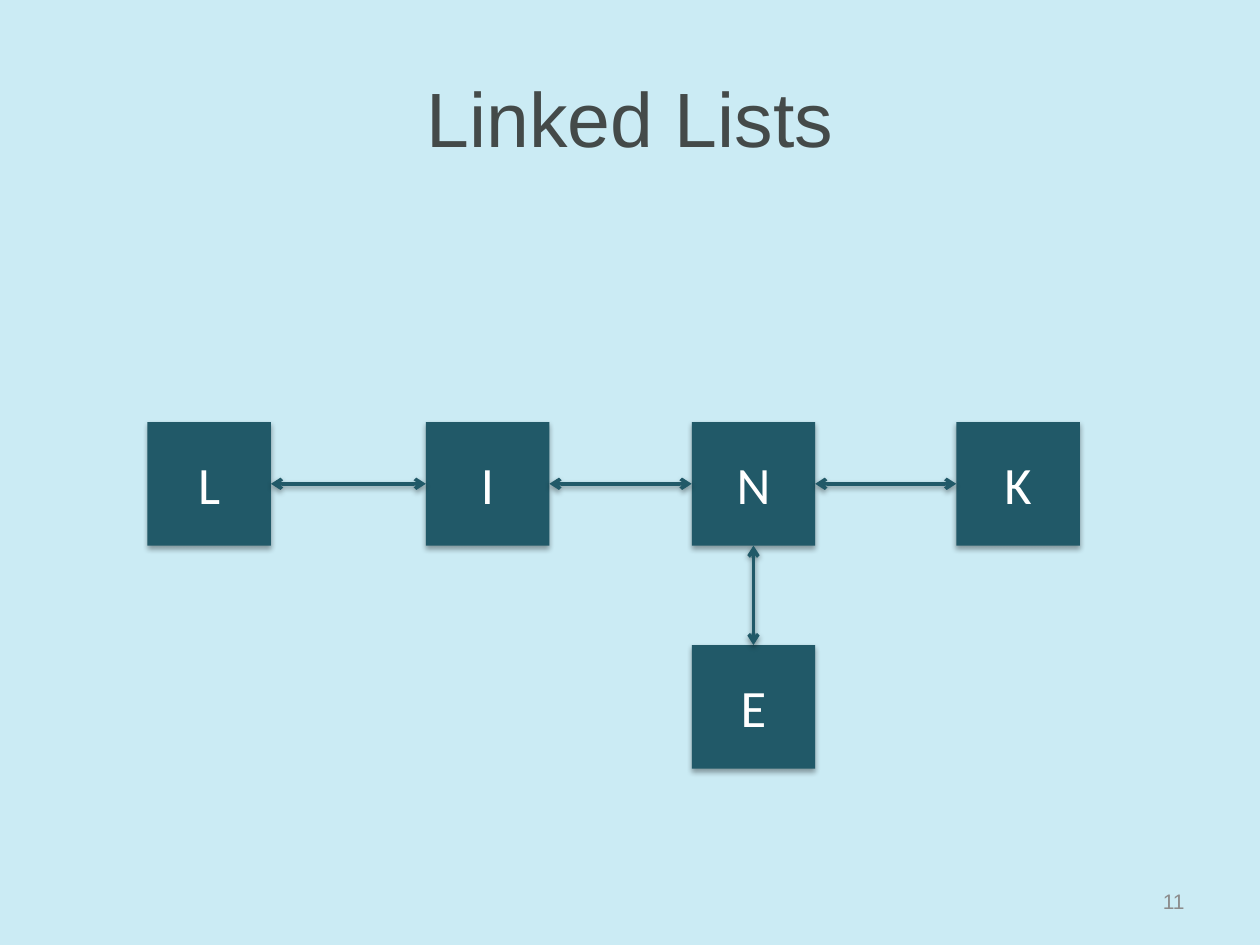
from lxml import etree
from pptx import Presentation
from pptx.dml.color import RGBColor
from pptx.enum.shapes import MSO_CONNECTOR, MSO_SHAPE
from pptx.enum.text import MSO_ANCHOR, PP_ALIGN
from pptx.oxml.ns import qn
from pptx.util import Inches, Pt

RECTANGLE = MSO_SHAPE.RECTANGLE
STRAIGHT = MSO_CONNECTOR.STRAIGHT
MIDDLE = MSO_ANCHOR.MIDDLE
CENTER, RIGHT = PP_ALIGN.CENTER, PP_ALIGN.RIGHT
TOP_SIDE, LEFT_SIDE, BOTTOM_SIDE, RIGHT_SIDE = range(4)
TITLE_ONLY = 5

NODE_SIZE = 0.98
ROW_TOP = 3.35
BRANCH_TOP = 5.12
ROW_LEFTS = {"L": 1.17, "I": 3.38, "N": 5.49, "K": 7.59}


def color(hex_string):
    return RGBColor.from_string(hex_string)


class SlideBuilder:
    """Holds the style and the current slide."""

    background = "CBEBF4"
    accent = "215968"
    heading_font = "Arial"
    node_font = "Calibri"

    def __init__(self, presentation):
        layout = presentation.slide_layouts[TITLE_ONLY]
        self.slide = presentation.slides.add_slide(layout)
        fill = self.slide.background.fill
        fill.solid()
        fill.fore_color.rgb = color(self.background)

    def set_text(self, shape, text, size, font_name, text_color, alignment):
        frame = shape.text_frame
        frame.word_wrap = True
        frame.vertical_anchor = MIDDLE
        paragraph = frame.paragraphs[0]
        paragraph.text = text
        paragraph.alignment = alignment
        paragraph.font.size = Pt(size)
        paragraph.font.name = font_name
        paragraph.font.color.rgb = color(text_color)

    def cast_shadow(self, shape, opacity, distance):
        """Add a soft downward shadow; opacity in percent, distance in points."""
        effects = etree.SubElement(shape._element.spPr, qn("a:effectLst"))
        shadow = etree.SubElement(
            effects, qn("a:outerShdw"), blurRad=str(Pt(3.1)),
            dist=str(Pt(distance)), dir="5400000", rotWithShape="0")
        black = etree.SubElement(shadow, qn("a:srgbClr"), val="000000")
        etree.SubElement(black, qn("a:alpha"), val=str(opacity * 1000))

    def title(self, text):
        title = self.slide.shapes.title
        title.left, title.top = Inches(0.5), Inches(0.3)
        title.width, title.height = Inches(9), Inches(1.25)
        self.set_text(title, text, 44, self.heading_font, "444A49", CENTER)

    def page_number(self, number):
        box = self.slide.shapes.add_textbox(
            Inches(7.17), Inches(6.95), Inches(2.33), Inches(0.4))
        self.set_text(box, str(number), 12, self.heading_font, "8C8C8C", RIGHT)

    def node(self, letter, left, top):
        square = self.slide.shapes.add_shape(
            RECTANGLE, Inches(left), Inches(top),
            Inches(NODE_SIZE), Inches(NODE_SIZE))
        square.fill.solid()
        square.fill.fore_color.rgb = color(self.accent)
        square.line.fill.background()
        self.cast_shadow(square, 35, 1.8)
        self.set_text(square, letter, 30, self.node_font, "FFFFFF", CENTER)
        return square

    def link(self, first, first_side, second, second_side):
        """Join two nodes with a double-headed arrow."""
        connector = self.slide.shapes.add_connector(STRAIGHT, 0, 0, 0, 0)
        connector.begin_connect(first, first_side)
        connector.end_connect(second, second_side)
        connector.line.color.rgb = color(self.accent)
        connector.line.width = Pt(2)
        line = connector._element.spPr.find(qn("a:ln"))
        for end in ("a:headEnd", "a:tailEnd"):
            etree.SubElement(line, qn(end), type="arrow")
        self.cast_shadow(connector, 38, 1.6)


def main():
    presentation = Presentation()
    presentation.slide_width = Inches(10)
    presentation.slide_height = Inches(7.5)

    builder = SlideBuilder(presentation)
    builder.title("Linked Lists")
    builder.page_number(11)

    nodes = {letter: builder.node(letter, left, ROW_TOP)
             for letter, left in ROW_LEFTS.items()}
    row = list(nodes.values())
    for first, second in zip(row, row[1:]):
        builder.link(first, RIGHT_SIDE, second, LEFT_SIDE)

    branch = builder.node("E", ROW_LEFTS["N"], BRANCH_TOP)
    builder.link(nodes["N"], BOTTOM_SIDE, branch, TOP_SIDE)

    presentation.save("out.pptx")


if __name__ == "__main__":
    main()
